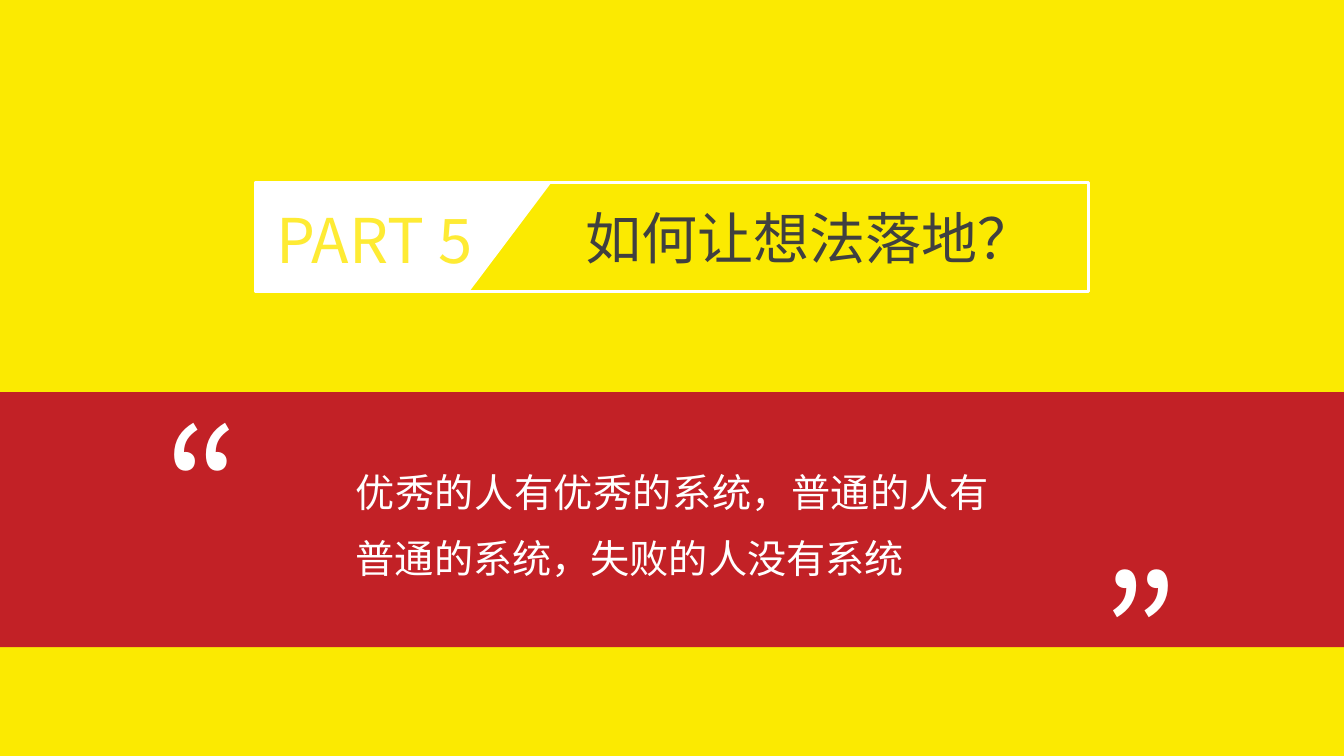
import pptx
import pptx.util
import pptx.dml.color
import pptx.enum.shapes
import pptx.enum.text
import lxml.etree
import pptx.oxml.ns

Inches = pptx.util.Inches
Pt = pptx.util.Pt
COLORS = {
    "yellow": "FBEA01",
    "red": "C22126",
    "white": "FFFFFF",
    "label": "FEEB34",
    "dark": "404040",
}
SANS = "Noto Sans CJK SC"
QUOTE = "Noto Sans CJK JP"


def rgb(name):
    return pptx.dml.color.RGBColor.from_string(COLORS[name])


def paint(sp, fill=None, line=None):
    sp.shadow.inherit = False
    if fill:
        sp.fill.solid()
        sp.fill.fore_color.rgb = rgb(fill)
    else:
        sp.fill.background()
    if line:
        sp.line.color.rgb = rgb(line)
        sp.line.width = Pt(2)
    else:
        sp.line.fill.background()


def add_rect(s, box, fill=None, line=None):
    kind = pptx.enum.shapes.MSO_SHAPE.RECTANGLE
    sp = s.shapes.add_shape(kind, *map(Inches, box))
    paint(sp, fill, line)


def add_polygon(s, points, fill):
    start, *rest = [(Inches(x), Inches(y)) for x, y in points]
    builder = s.shapes.build_freeform(*start)
    builder.add_line_segments(rest, close=True)
    paint(builder.convert_to_shape(), fill)


def add_text(s, box, text, size, color, font=SANS):
    sp = s.shapes.add_textbox(*map(Inches, box))
    tf = sp.text_frame
    tf.word_wrap = True
    tf.auto_size = pptx.enum.text.MSO_AUTO_SIZE.SHAPE_TO_FIT_TEXT
    tf.text = text
    r = tf.paragraphs[0].runs[0]
    r.font.size = Pt(size)
    r.font.color.rgb = rgb(color)
    r.font.name = font
    ea = lxml.etree.SubElement(r.font._element, pptx.oxml.ns.qn("a:ea"))
    ea.set("typeface", font)
    return sp


def main():
    prs = pptx.Presentation()
    prs.slide_width, prs.slide_height = Inches(13.33), Inches(7.5)
    s = prs.slides.add_slide(prs.slide_layouts[6])
    s.background.fill.solid()
    s.background.fill.fore_color.rgb = rgb("yellow")

    add_rect(s, (0, 3.89, 13.33, 2.53), fill="red")
    add_rect(s, (2.53, 1.81, 8.27, 1.08), line="white")
    add_polygon(s, [(2.53, 1.81), (5.47, 1.81), (4.65, 2.9), (2.53, 2.9)], "white")
    add_text(s, (2.64, 1.95, 2.72, 0.84), "PART 5", 44, "label")

    saying = add_text(s, (3.43, 4.41, 6.48, 1.42),
                      "优秀的人有优秀的系统，普通的人有普通的系统，失败的人没有系统", 28, "white")
    p = saying.text_frame.paragraphs[0]
    p.alignment = pptx.enum.text.PP_ALIGN.JUSTIFY
    p.line_spacing = 1.4

    for left, top, rotation in ((1.53, 3.8, 0), (10.81, 4.49, 180)):
        mark = add_text(s, (left, top, 0.98, 2.04), "“", 115, "white", QUOTE)
        mark.rotation = rotation

    add_text(s, (5.71, 1.97, 6.32, 0.77), "如何让想法落地？", 40, "dark")
    prs.save("out.pptx")


if __name__ == "__main__":
    main()
